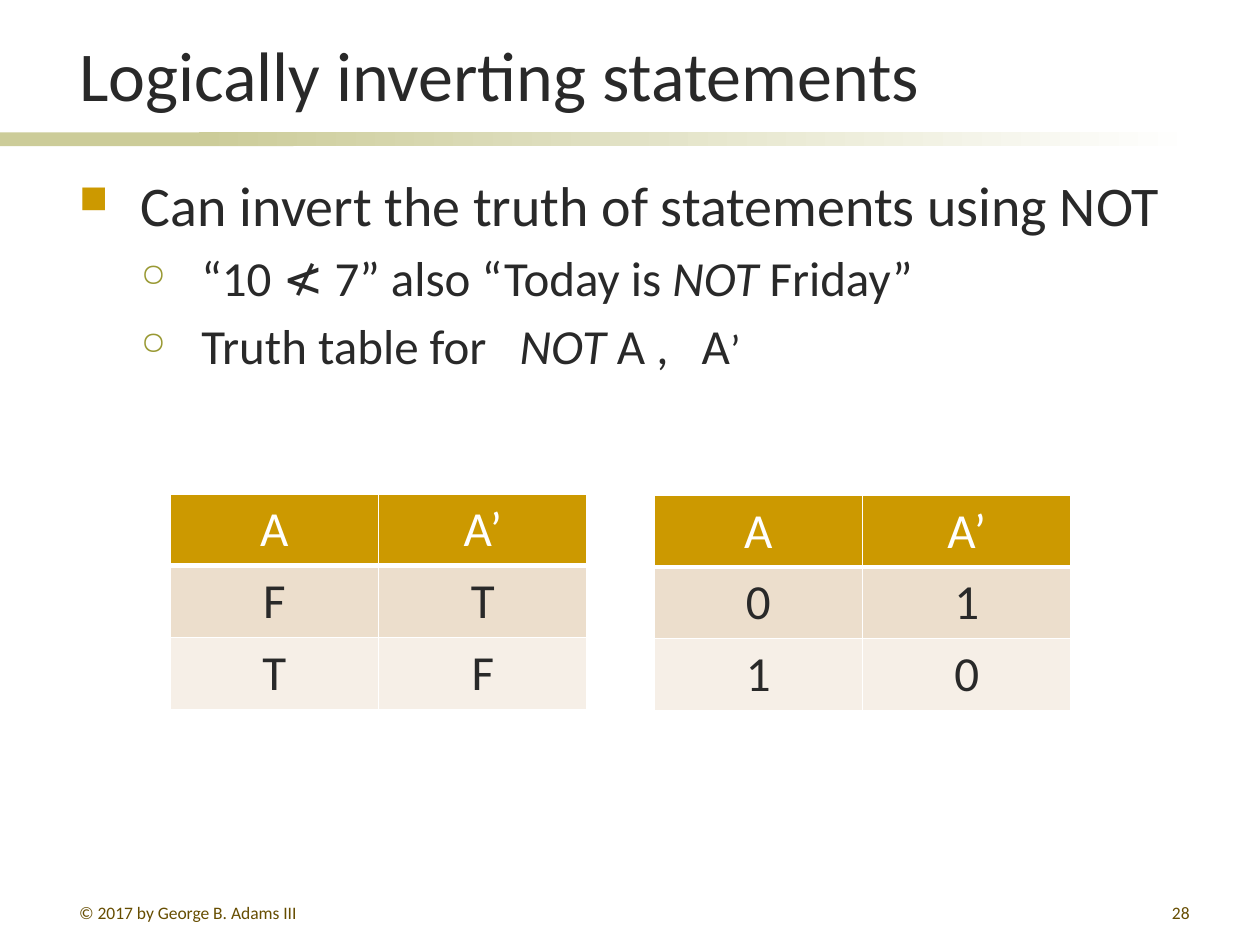
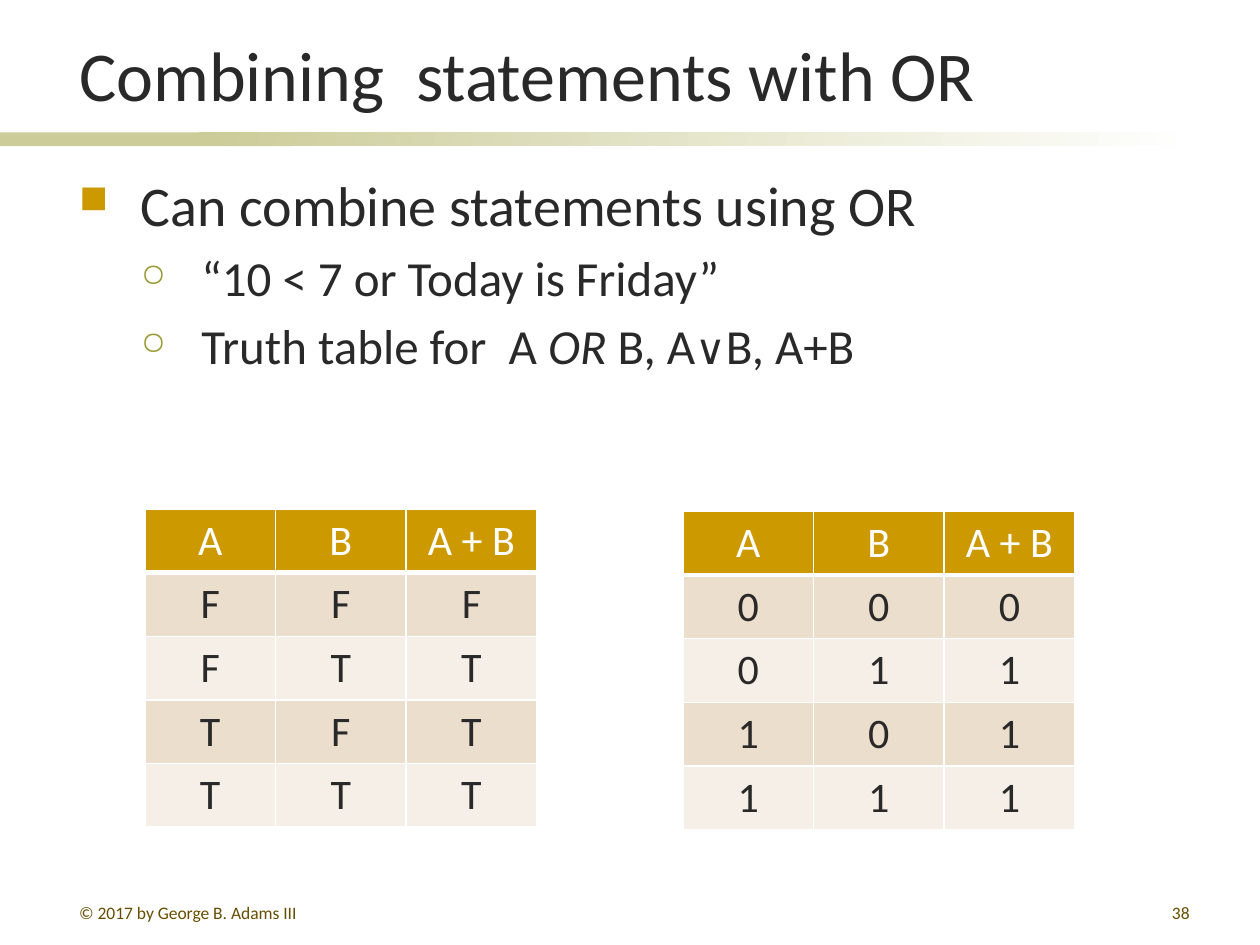
from dataclasses import dataclass

from lxml import etree
from pptx import Presentation
from pptx.dml.color import RGBColor
from pptx.enum.shapes import MSO_SHAPE
from pptx.enum.text import MSO_ANCHOR, PP_ALIGN
from pptx.oxml.ns import qn
from pptx.util import Inches, Pt

# Shared style
FONT = "Calibri"
INK, GOLD, OLIVE, BROWN = "292929", "CC9900", "999933", "664D00"
BAND, WHITE = "CCCC99", "FFFFFF"
ROW_FILLS = ("ECDECC", "F6EFE7")
CELL = 0.1  # the grid has 100 columns and 75 rows
LEFT, CONTENT_WIDTH = 5.3, 90.1
SPACE_WIDTH = 0.226  # width of a space as a share of the font size


def color(hex_string):
    return RGBColor.from_string(hex_string)


def grid(count):
    return Inches(count * CELL)


@dataclass
class Span:
    text: str
    italic: bool = False
    size: float = 0
    extra_spaces: int = 0  # widens a single space by this many more


@dataclass
class BulletLevel:
    symbol: str
    symbol_color: str
    symbol_percent: int
    size: int
    margin: float
    hanging: float


LEVELS = (
    BulletLevel("■", GOLD, 70, 32, 4.9, 4.9),
    BulletLevel("○", OLIVE, 65, 28, 9.7, 4.8),
)


class Deck:
    def __init__(self):
        self.presentation = Presentation()
        self.presentation.slide_width = grid(100)
        self.presentation.slide_height = grid(75)
        self.slide = None

    def start_slide(self, title, number):
        """Add a slide with the band, title and footer."""
        layout = self.presentation.slide_layouts[6]
        self.slide = self.presentation.slides.add_slide(layout)
        self.band(0, 23.3)
        self.band(15.8, 79.2, fade=True)
        frame = self.text_box(LEFT, 1.1, CONTENT_WIDTH, 8.1, 0, 0)
        frame.vertical_anchor = MSO_ANCHOR.BOTTOM
        self.add_spans(frame.paragraphs[0], title, 40)
        self.footer("© 2017 by George B. Adams III", LEFT, 21.7)
        self.footer(str(number), 74.6, 20.8, PP_ALIGN.RIGHT)

    def band(self, column, width, fade=False):
        shape = self.slide.shapes.add_shape(
            MSO_SHAPE.RECTANGLE, grid(column), grid(10.5), grid(width), grid(1.1))
        shape.shadow.inherit = False
        shape.line.fill.background()
        if fade:
            shape.fill.gradient()
            shape.fill.gradient_angle = 0
            for stop, shade in zip(shape.fill.gradient_stops, (BAND, WHITE)):
                stop.color.rgb = color(shade)
        else:
            shape.fill.solid()
            shape.fill.fore_color.rgb = color(BAND)

    def text_box(self, column, row, width, height, top=0.5, bottom=0.5):
        box = self.slide.shapes.add_textbox(
            grid(column), grid(row), grid(width), grid(height))
        frame = box.text_frame
        frame.word_wrap = True
        frame.margin_top, frame.margin_bottom = grid(top), grid(bottom)
        return frame

    def add_spans(self, paragraph, spans, size, ink=INK, align=PP_ALIGN.LEFT):
        paragraph.alignment = align
        font = paragraph.font
        font.name, font.size, font.bold = FONT, Pt(size), False
        font.color.rgb = color(ink)
        for span in spans:
            run = paragraph.add_run()
            run.text = span.text
            if span.italic:
                run.font.italic = True
            if span.size:
                run.font.size = Pt(span.size)
            if span.extra_spaces:
                spacing = span.extra_spaces * SPACE_WIDTH * size
                run._r.get_or_add_rPr().set("spc", str(round(spacing * 100)))

    def footer(self, text, column, width, align=PP_ALIGN.LEFT):
        frame = self.text_box(column, 71.1, width, 2.1)
        self.add_spans(frame.paragraphs[0], [Span(text)], 10, BROWN, align)

    def bullets(self, items):
        """Fill the body with (level, spans) pairs."""
        frame = self.text_box(LEFT, 12.8, CONTENT_WIDTH, 53.9, 0.7, 0)
        for index, (level, spans) in enumerate(items):
            paragraph = frame.add_paragraph() if index else frame.paragraphs[0]
            style = LEVELS[level]
            self.add_bullet(paragraph, style)
            if index:
                paragraph.space_before = Pt(style.size * 0.2)
            self.add_spans(paragraph, spans, style.size)

    def add_bullet(self, paragraph, style):
        properties = paragraph._p.get_or_add_pPr()
        properties.set("marL", str(grid(style.margin)))
        properties.set("indent", str(-grid(style.hanging)))
        tint = etree.SubElement(properties, qn("a:buClr"))
        etree.SubElement(tint, qn("a:srgbClr"), val=style.symbol_color)
        etree.SubElement(properties, qn("a:buSzPct"),
                         val=str(style.symbol_percent * 1000))
        etree.SubElement(properties, qn("a:buChar"), char=style.symbol)

    def truth_table(self, rows, column, row, width, row_height, size):
        """Draw rows of text; the first one is the header."""
        count = len(rows[0])
        table = self.slide.shapes.add_table(
            len(rows), count, grid(column), grid(row),
            grid(width), grid(row_height * len(rows))).table
        for table_column in table.columns:
            table_column.width = grid(width / count)
        for row_index, values in enumerate(rows):
            header = row_index == 0
            for column_index, value in enumerate(values):
                cell = table.cell(row_index, column_index)
                cell.fill.solid()
                cell.fill.fore_color.rgb = color(
                    GOLD if header else ROW_FILLS[(row_index - 1) % 2])
                self.add_borders(cell, 3 if header else 1)
                self.add_spans(cell.text_frame.paragraphs[0], [Span(value)], size,
                               WHITE if header else INK, PP_ALIGN.CENTER)

    def add_borders(self, cell, bottom_width):
        properties = cell._tc.get_or_add_tcPr()
        widths = {"lnL": 1, "lnR": 1, "lnT": 1, "lnB": bottom_width}
        for position, (side, width) in enumerate(widths.items()):
            line = etree.Element(qn(f"a:{side}"), w=str(Pt(width)))
            fill = etree.SubElement(line, qn("a:solidFill"))
            etree.SubElement(fill, qn("a:srgbClr"), val=WHITE)
            properties.insert(position, line)


def as_bits(rows):
    """Turn F and T into 0 and 1, keeping the header."""
    bits = {"F": "0", "T": "1"}
    return [rows[0]] + [[bits[value] for value in row] for row in rows[1:]]


def main():
    deck = Deck()

    # NOT
    deck.start_slide([Span("Logically inverting statements")], 28)
    deck.bullets([
        (0, [Span("Can invert the truth of statements using NOT")]),
        (1, [Span("“10 ≮ 7” also “Today is "), Span("NOT ", italic=True),
             Span("Friday”")]),
        (1, [Span("Truth table for"), Span(" ", extra_spaces=2),
             Span("NOT ", italic=True), Span("A ,"), Span(" ", extra_spaces=2),
             Span("A"), Span("’", size=24)]),
    ])
    not_rows = [["A", "A’"], ["F", "T"], ["T", "F"]]
    deck.truth_table(not_rows, 13.5, 39.2, 33.1, 5.7, 28)
    deck.truth_table(as_bits(not_rows), 51.9, 39.3, 33.1, 5.7, 28)

    # OR
    deck.start_slide([Span("Combining"), Span(" ", extra_spaces=1),
                      Span("statements with OR")], 38)
    deck.bullets([
        (0, [Span("Can combine statements using OR")]),
        (1, [Span("“10 < 7 or Today is Friday”")]),
        (1, [Span("Truth table for"), Span(" ", extra_spaces=1), Span("A "),
             Span("OR", italic=True), Span(" B, A"), Span("∨", size=24),
             Span("B, A+B")]),
    ])
    or_rows = [["A", "B", "A + B"]] + [
        [a, b, "T" if "T" in (a, b) else "F"] for a in "FT" for b in "FT"]
    deck.truth_table(or_rows, 11.5, 40.4, 31.1, 5.05, 24)
    deck.truth_table(as_bits(or_rows), 54.2, 40.6, 31.1, 5.05, 24)

    deck.presentation.save("out.pptx")


if __name__ == "__main__":
    main()
